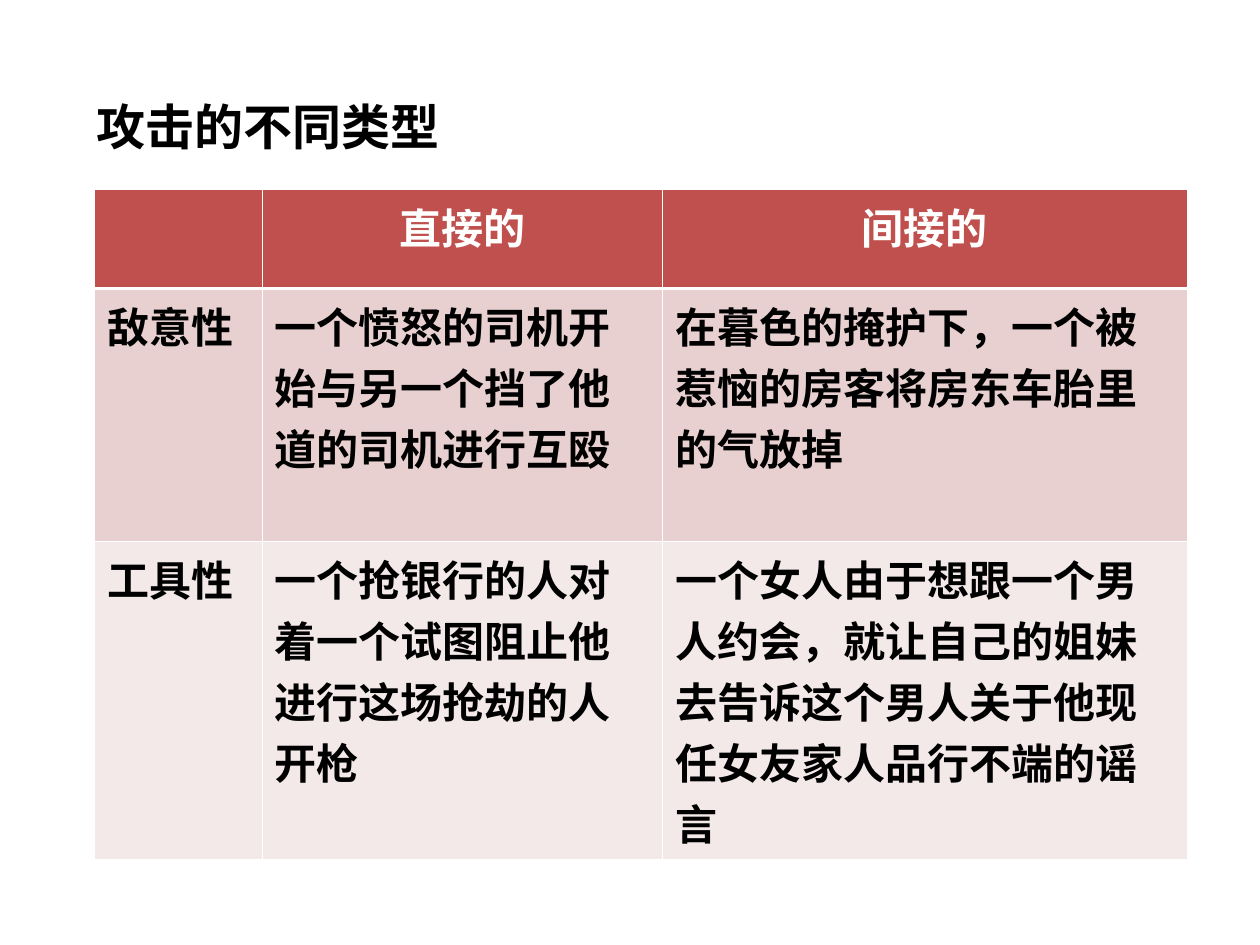
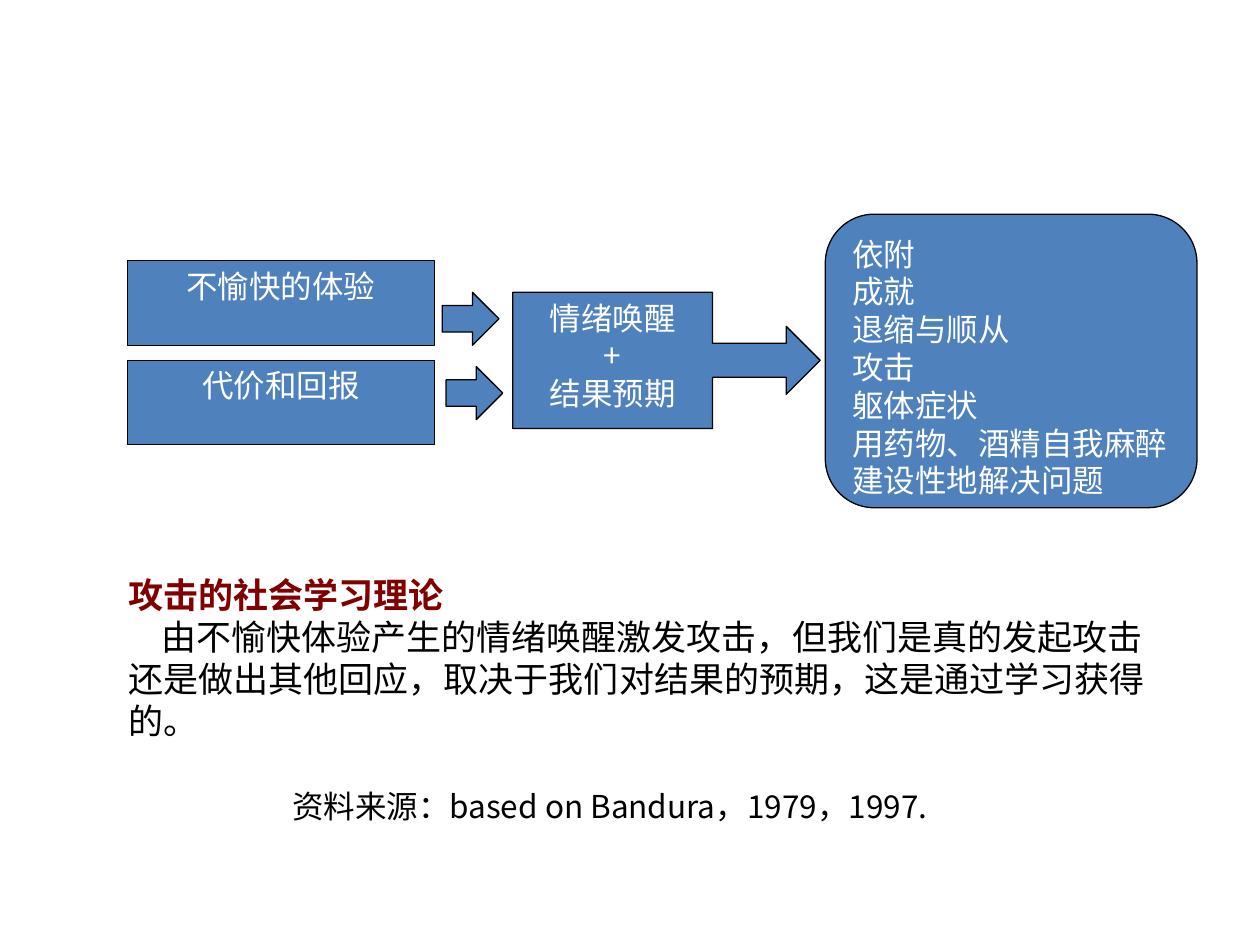
"""Build two slides on the types of aggression and its social learning theory."""
from dataclasses import dataclass

from lxml.etree import SubElement
from pptx import Presentation
from pptx.dml.color import RGBColor
from pptx.enum.shapes import MSO_SHAPE
from pptx.enum.text import MSO_ANCHOR, PP_ALIGN
from pptx.oxml.ns import qn
from pptx.slide import Slide
from pptx.text.text import TextFrame
from pptx.util import Inches, Pt

BLACK = RGBColor(0x00, 0x00, 0x00)
WHITE = RGBColor(0xFF, 0xFF, 0xFF)
MAROON = RGBColor(0x80, 0x00, 0x00)
BLUE = RGBColor(0x4F, 0x81, 0xBD)
RED = RGBColor(0xC0, 0x50, 0x4D)
ROSE = RGBColor(0xE8, 0xD0, 0xD0)
PALE = RGBColor(0xF4, 0xE9, 0xE9)

FONT = "Noto Sans CJK SC"
THIN, THICK = 0.45, 1.47
COLS = (1.33, 3.18, 4.16)
HIGHS = (0.79, 2.01, 2.48)
FILLS = (RED, ROSE, PALE)
ROWS = (
    ("", "直接的", "间接的"),
    ("敌意性", "一个愤怒的司机开始与另一个挡了他道的司机进行互殴",
     "在暮色的掩护下，一个被惹恼的房客将房东车胎里的气放掉"),
    ("工具性", "一个抢银行的人对着一个试图阻止他进行这场抢劫的人开枪",
     "一个女人由于想跟一个男人约会，就让自己的姐妹去告诉这个男人关于他现任女友家人品行不端的谣言"),
)


@dataclass(frozen=True)
class Line:
    """One paragraph and its style."""
    text: str
    size: float = 18
    color: RGBColor = WHITE
    bold: bool = False
    align: PP_ALIGN = PP_ALIGN.LEFT
    left: float = 0
    first: float = 0
    before: float = 0


@dataclass(frozen=True)
class Box:
    """A preset shape with its place and text."""
    kind: MSO_SHAPE
    left: float
    top: float
    width: float
    height: float
    lines: tuple[str, ...] = ()
    align: PP_ALIGN = PP_ALIGN.CENTER
    adjust: tuple[float, ...] = ()


BOXES = (
    Box(MSO_SHAPE.RECTANGLE, 1.01, 2.07, 2.44, 0.67, ("不愉快的体验",)),
    Box(MSO_SHAPE.RECTANGLE, 1.01, 2.86, 2.44, 0.67, ("代价和回报",)),
    Box(MSO_SHAPE.RIGHT_ARROW, 3.51, 2.32, 0.45, 0.42),
    Box(MSO_SHAPE.RIGHT_ARROW, 3.54, 2.91, 0.45, 0.42),
    Box(MSO_SHAPE.RIGHT_ARROW_CALLOUT, 4.07, 2.32, 2.44, 1.08,
        ("情绪唤醒", "+", "结果预期"), adjust=(0.25, 0.25, 0.25, 0.65)),
    Box(MSO_SHAPE.ROUNDED_RECTANGLE, 6.55, 1.7, 2.95, 2.33,
        ("依附", "成就", "退缩与顺从", "攻击", "躯体症状",
         "用药物、酒精自我麻醉", "建设性地解决问题"), PP_ALIGN.LEFT, (0.167,)),
)


def write(frame: TextFrame, lines: list[Line]) -> None:
    """Fill a text frame with styled paragraphs."""
    frame.word_wrap = True
    for spot, line in enumerate(lines):
        para = frame.add_paragraph() if spot else frame.paragraphs[0]
        para.text = line.text
        para.alignment = line.align
        if line.before:
            para.space_before = Pt(line.before)
        props = para._p.get_or_add_pPr()
        props.set("marL", str(Inches(line.left)))
        props.set("indent", str(Inches(line.first)))
        font = para.font
        font.name, font.size, font.bold = FONT, Pt(line.size), line.bold
        font.color.rgb = line.color
        SubElement(props.find(qn("a:defRPr")), qn("a:ea")).set("typeface", FONT)


def add_text(slide: Slide, place: tuple[float, ...], lines: list[Line]) -> None:
    """Add a wrapped text box."""
    write(slide.shapes.add_textbox(*map(Inches, place)).text_frame, lines)


def add_box(slide: Slide, box: Box) -> None:
    """Draw a blue shape with a thin black line."""
    place = map(Inches, (box.left, box.top, box.width, box.height))
    shape = slide.shapes.add_shape(box.kind, *place)
    shape.shadow.inherit = False
    shape.fill.solid()
    shape.fill.fore_color.rgb = BLUE
    shape.line.color.rgb = BLACK
    shape.line.width = Pt(0.75)
    for spot, value in enumerate(box.adjust):
        shape.adjustments[spot] = value
    if box.lines:
        frame = shape.text_frame
        frame.vertical_anchor = MSO_ANCHOR.TOP
        write(frame, [Line(text, align=box.align) for text in box.lines])


def add_grid(slide: Slide) -> None:
    """Draw the table of aggression types."""
    place = map(Inches, (0.75, 1.5, sum(COLS), sum(HIGHS)))
    table = slide.shapes.add_table(len(ROWS), len(COLS), *place).table
    for col, width in zip(table.columns, COLS):
        col.width = Inches(width)
    for y, texts in enumerate(ROWS):
        table.rows[y].height = Inches(HIGHS[y])
        head = y == 0
        edges = {"L": THIN, "R": THIN, "T": THICK if y == 1 else THIN,
                 "B": THICK if head else THIN}
        for x, text in enumerate(texts):
            cell = table.cell(y, x)
            props = cell._tc.get_or_add_tcPr()
            for side, width in edges.items():
                edge = SubElement(props, qn(f"a:ln{side}"), w=str(Pt(width)))
                fill = SubElement(edge, qn("a:solidFill"))
                SubElement(fill, qn("a:srgbClr"), val=str(WHITE))
            cell.fill.solid()
            cell.fill.fore_color.rgb = FILLS[y]
            if text:
                write(cell.text_frame, [Line(
                    text, 24, WHITE if head else BLACK, True,
                    PP_ALIGN.CENTER if head else PP_ALIGN.LEFT)])


def main() -> None:
    """Build and save the deck."""
    deck = Presentation()
    deck.slide_width, deck.slide_height = Inches(10), Inches(7.5)
    types, theory = (deck.slides.add_slide(deck.slide_layouts[6]) for _ in range(2))

    add_grid(types)
    add_text(types, (0.67, 0.72, 8.67, 0.57),
             [Line("攻击的不同类型", 28, BLACK, True)])

    for box in BOXES:
        add_box(theory, box)
    add_text(theory, (0.92, 4.5, 8.5, 2.4), [
        Line("攻击的社会学习理论", 20, MAROON, True),
        Line("由不愉快体验产生的情绪唤醒激发攻击，但我们是真的发起攻击还是做出其他回应，"
             "取决于我们对结果的预期，这是通过学习获得的。", 20, BLACK, first=0.26),
        Line("资料来源：based on Bandura，1979，1997.", 18, BLACK, left=1.3, before=26),
    ])
    deck.save("out.pptx")


if __name__ == "__main__":
    main()
